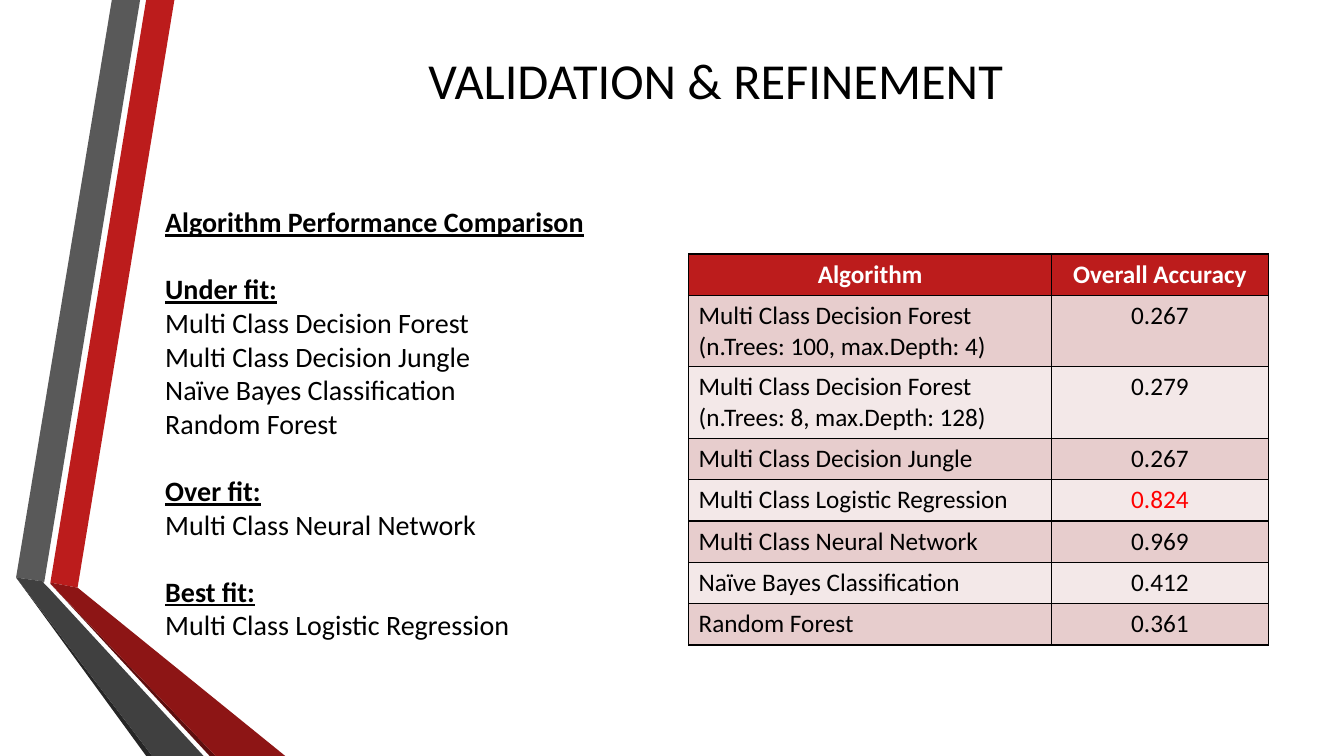
from dataclasses import dataclass
import pptx
import pptx.dml.color
import pptx.enum.text
import pptx.oxml
import pptx.oxml.ns
import pptx.util

UNIT = pptx.util.Inches(1)  # one grid column or row
COLUMNS, ROWS = 13.33, 7.5
ALIGN = pptx.enum.text.PP_ALIGN


@dataclass(frozen=True)
class Theme:
    font: str = "Calibri"
    title_size: int = 36
    body_size: int = 20
    table_size: int = 18
    group_gap: int = 24
    border_width: int = 1
    text: str = "000000"
    inverse: str = "FFFFFF"
    accent: str = "BC1C1C"
    highlight: str = "FF0000"
    bands: tuple = ("E7CDCD", "F3E8E8")


@dataclass(frozen=True)
class Box:
    left: float
    top: float
    width: float
    height: float

    def emu(self):
        return [grid(v) for v in (self.left, self.top, self.width, self.height)]


THEME = Theme()

# Ribbon facets: colour and corners, in grid units from the ribbon's box
RIBBON = [
    (THEME.accent, [(0.34, 5.78), (0.61, 5.83), (1.57, 0), (1.29, 0)]),
    ("595959", [(1.23, 0), (0.95, 0), (0, 5.73), (0.28, 5.77)]),
    ("262626", [(0, 5.73), (1.29, 7.5), (1.35, 7.5)]),
    ("5E0E0E", [(0.34, 5.79), (1.92, 7.5), (1.98, 7.5)]),
    ("8D1515", [(0.34, 5.79), (1.98, 7.5), (2.67, 7.5), (0.61, 5.83), (0.34, 5.78)]),
    ("404040", [(1.86, 7.5), (0.32, 5.83), (0.27, 5.78), (0.28, 5.77), (0, 5.73), (1.35, 7.5)]),
]

FIT_GROUPS = [
    ("Algorithm Performance Comparison", []),
    ("Under fit:", ["Multi Class Decision Forest", "Multi Class Decision Jungle",
                    "Naïve Bayes Classification", "Random Forest"]),
    ("Over fit:", ["Multi Class Neural Network"]),
    ("Best fit:", ["Multi Class Logistic Regression"]),
]

HEADINGS = ("Algorithm", "Overall Accuracy")
BEST = "Multi Class Logistic Regression"
ACCURACY = [
    ("Multi Class Decision Forest\n(n.Trees: 100, max.Depth: 4)", "0.267"),
    ("Multi Class Decision Forest\n(n.Trees: 8, max.Depth: 128)", "0.279"),
    ("Multi Class Decision Jungle", "0.267"),
    (BEST, "0.824"),
    ("Multi Class Neural Network", "0.969"),
    ("Naïve Bayes Classification", "0.412"),
    ("Random Forest", "0.361"),
]


def grid(units):
    return round(units * UNIT)


def rgb(colour):
    return pptx.dml.color.RGBColor.from_string(colour)


def style(paragraph, size, colour=THEME.text, bold=False, underline=False, align=ALIGN.LEFT):
    paragraph.alignment = align
    font = paragraph.font
    font.name, font.size = THEME.font, pptx.util.Pt(size)
    font.bold, font.underline = bold, underline
    font.color.rgb = rgb(colour)


def add_ribbon(slide, box):
    for colour, corners in RIBBON:
        points = [(grid(box.left + x), grid(box.top + y)) for x, y in corners]
        builder = slide.shapes.build_freeform(*points[0])
        builder.add_line_segments(points[1:], close=True)
        facet = builder.convert_to_shape()
        facet.shadow.inherit = False
        facet.fill.solid()
        facet.fill.fore_color.rgb = rgb(colour)
        facet.line.fill.background()


def add_title(slide, box):
    frame = slide.shapes.add_textbox(*box.emu()).text_frame
    frame.word_wrap = True
    frame.vertical_anchor = pptx.enum.text.MSO_ANCHOR.MIDDLE
    frame.text = "VALIDATION & REFINEMENT"
    style(frame.paragraphs[0], THEME.title_size, align=ALIGN.CENTER)


def add_fit_groups(slide, box):
    frame = slide.shapes.add_textbox(*box.emu()).text_frame
    frame.word_wrap = True
    for index, (heading, algorithms) in enumerate(FIT_GROUPS):
        paragraph = frame.add_paragraph() if index else frame.paragraphs[0]
        paragraph.text = heading
        style(paragraph, THEME.body_size, bold=True, underline=True)
        if index:
            paragraph.space_before = pptx.util.Pt(THEME.group_gap)
        for algorithm in algorithms:
            paragraph = frame.add_paragraph()
            paragraph.text = algorithm
            style(paragraph, THEME.body_size)


def add_borders(cell):
    properties = cell._tc.get_or_add_tcPr()
    width = pptx.util.Pt(THEME.border_width)
    for side in ("lnL", "lnR", "lnT", "lnB"):
        properties.append(pptx.oxml.parse_xml(
            f'<a:{side} {pptx.oxml.ns.nsdecls("a")} w="{width}"><a:solidFill>'
            f'<a:srgbClr val="{THEME.text}"/></a:solidFill></a:{side}>'))


def fill_cell(cell, text, fill, **font):
    add_borders(cell)
    cell.fill.solid()
    cell.fill.fore_color.rgb = rgb(fill)
    cell.text = text
    for paragraph in cell.text_frame.paragraphs:
        style(paragraph, THEME.table_size, **font)


def add_accuracy_table(slide, box):
    table = slide.shapes.add_table(len(ACCURACY) + 1, len(HEADINGS), *box.emu()).table
    for column, share in zip(table.columns, (0.626, 0.374)):
        column.width = grid(box.width * share)
    for row in table.rows:
        row.height = grid(0.41)
    for column, heading in enumerate(HEADINGS):
        fill_cell(table.cell(0, column), heading, THEME.accent,
                  colour=THEME.inverse, bold=True, align=ALIGN.CENTER)
    for index, (algorithm, accuracy) in enumerate(ACCURACY):
        band = THEME.bands[index % 2]
        row = index + 1
        if "\n" in algorithm:
            table.rows[row].height = grid(0.71)
        fill_cell(table.cell(row, 0), algorithm, band)
        fill_cell(table.cell(row, 1), accuracy, band, align=ALIGN.CENTER,
                  colour=THEME.highlight if algorithm == BEST else THEME.text)


def add_validation_slide(deck):
    slide = deck.slides.add_slide(deck.slide_layouts[6])
    add_ribbon(slide, Box(0.16, 0, 2.67, ROWS))
    add_title(slide, Box(1.62, 0.44, 10.96, 0.69))
    add_accuracy_table(slide, Box(6.83, 2.52, 5.75, 3.88))
    add_fit_groups(slide, Box(1.54, 1.98, 5.29, 4.48))


deck = pptx.Presentation()
deck.slide_width, deck.slide_height = grid(COLUMNS), grid(ROWS)
add_validation_slide(deck)
deck.save("out.pptx")
